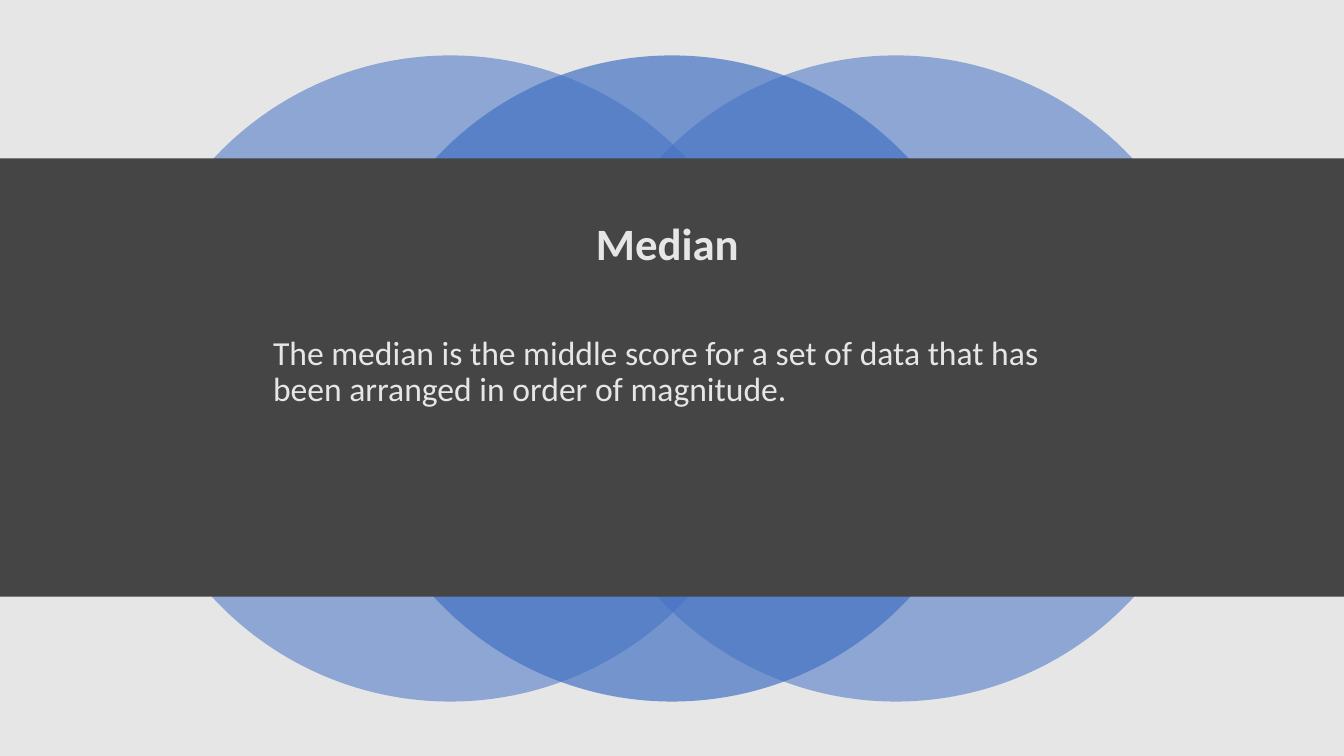
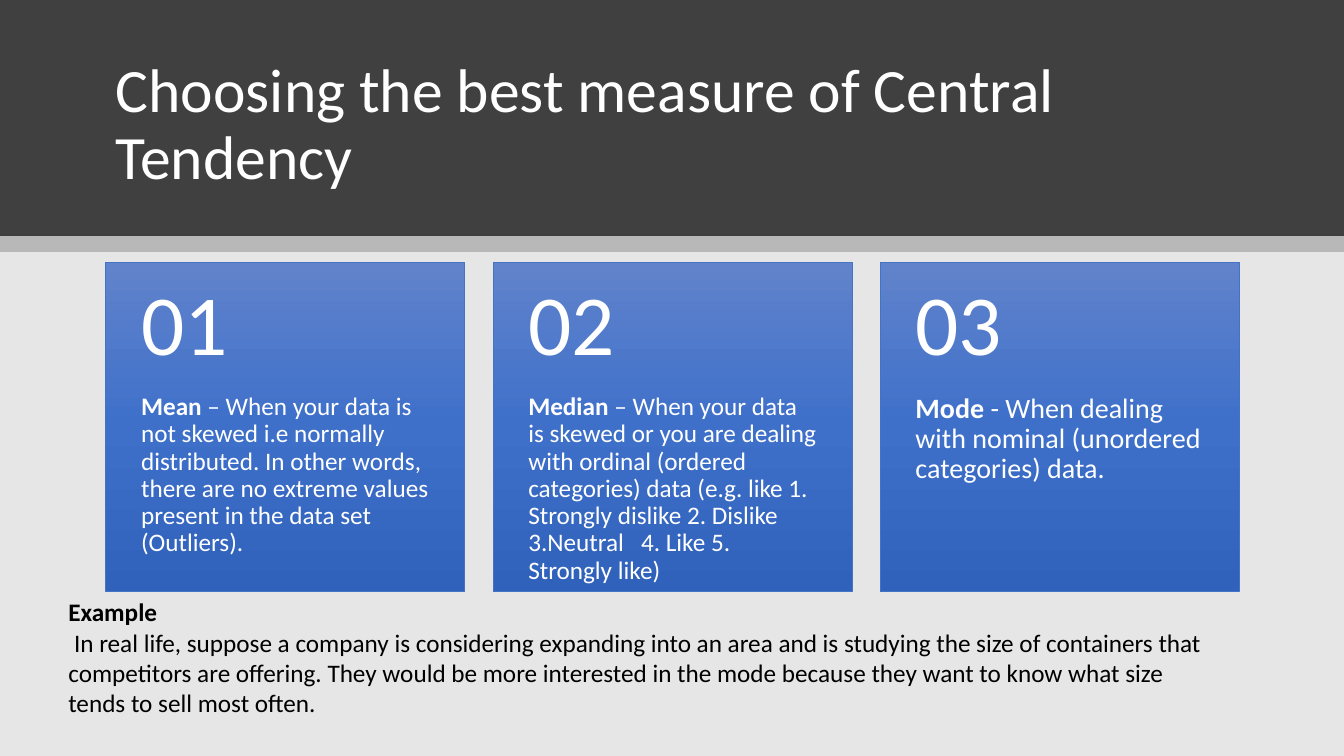
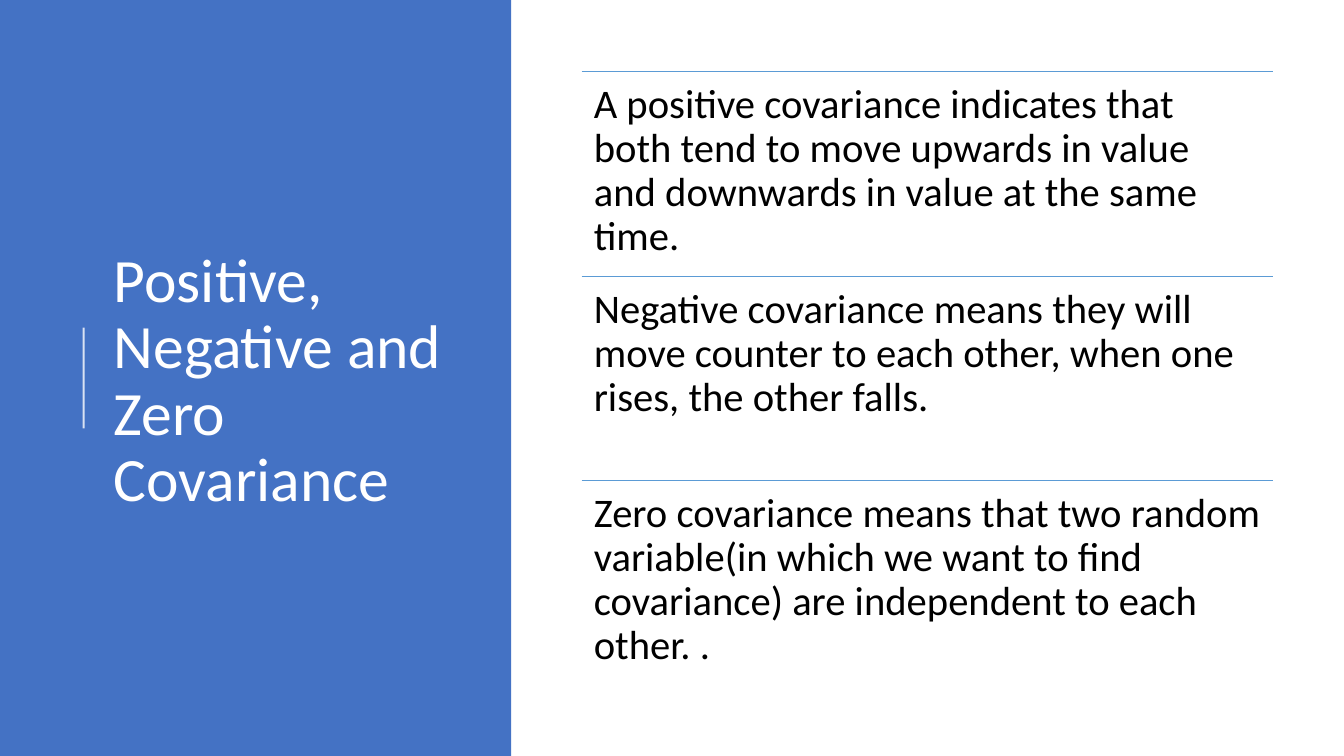
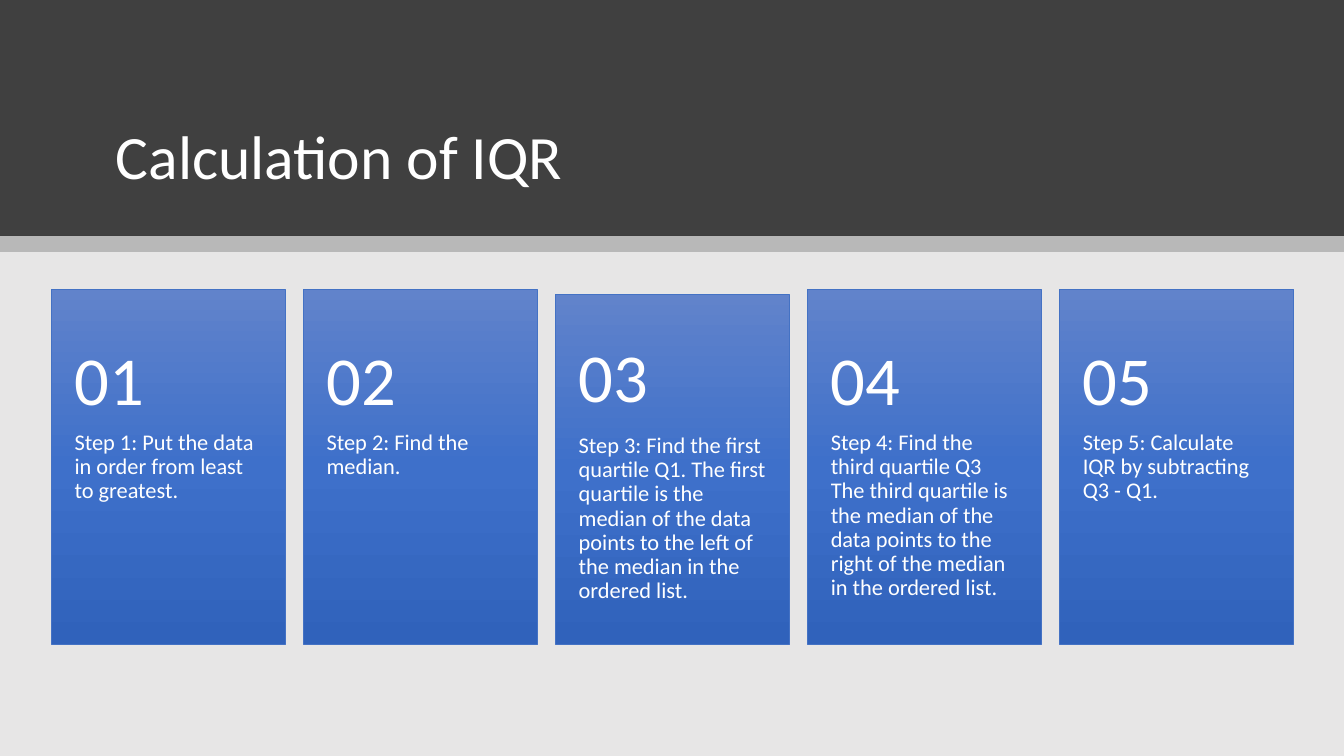
from copy import deepcopy
from lxml.etree import SubElement
from pptx import Presentation
from pptx.dml.color import RGBColor
from pptx.enum.shapes import MSO_CONNECTOR as CONN, MSO_SHAPE as SHAPE
from pptx.enum.text import MSO_ANCHOR as ANCHOR, PP_ALIGN as ALIGN
from pptx.oxml.ns import qn
from pptx.util import Inches, Pt

FONT = "Calibri"
WIDTH, HEIGHT = 13.33, 7.5
WHITE, BLACK, PALE = "FFFFFF", "000000", "E7E6E6"
BLUE, SKY, BAND, HEADER = "4472C4", "5B9BD5", "454545", "404040"
GRADIENT = [(0, "6183CB"), (0.5, "3E70CA"), (1, "3062BB")]

MEDIAN_TITLE = "Median "
MEDIAN_BODY = ("The median is the middle score for a set of data that has "
               "been arranged in order of magnitude. ")
CIRCLES = [(1.26, 55), (5.68, 55), (3.46, 70)]

CHOICE_TITLE = "Choosing the best measure of Central Tendency"
CHOICES = [
    (18, [("Mean", True),
          ("\u00a0– When your data is not skewed i.e normally distributed. In other "
           "words, there are no extreme values present in the data set (Outliers).", False)]),
    (18, [("Median", True),
          ("\u00a0– When your data is skewed or you are dealing with ordinal (ordered "
           "categories) data (e.g. like 1. Strongly dislike 2. Dislike 3.Neutral \u00a0 4. Like "
           "5. Strongly like)", False)]),
    (20, [("Mode", True),
          ("\u00a0- When dealing with nominal (unordered categories) data.", False)]),
]
EXAMPLE = [
    [("Example", True)],
    [("\u00a0In real life, suppose a company is considering expanding into an area and is "
      "studying the size of containers that competitors are offering. They would be more "
      "interested in the mode because they want to know what size tends to sell most often.",
      False)],
]

COVARIANCE_TITLE = "Positive, Negative and Zero Covariance"
COVARIANCES = [
    "A positive covariance indicates that both tend to move upwards in value and downwards "
    "in value at the same time.",
    "Negative covariance means they will move counter to each other, when one rises, the "
    "other falls. ",
    "Zero covariance means that two random variable(in which we want to find covariance) are "
    "independent to each other. . ",
]

IQR_TITLE = "Calculation of IQR"
STEPS = [
    ("Step 1: Put the data in order from least to greatest.", 2.87, 3.25),
    ("Step 2: Find the median.", 2.87, 3.25),
    ("Step 3: Find the first quartile Q1. The first quartile is the median of the data points "
     "to the left of the median in the ordered list.", 2.92, 3.22),
    ("Step 4: Find the third quartile Q3 The third quartile is the median of the data points "
     "to the right of the median in the ordered list.", 2.87, 3.25),
    ("Step 5: Calculate IQR by subtracting Q3 - Q1.", 2.87, 3.25),
]


def rgb(value):
    return RGBColor.from_string(value)


def set_alpha(sp, percent):
    color = next(sp._element.spPr.iter(qn("a:srgbClr")))
    SubElement(color, qn("a:alpha")).set("val", str(percent * 1000))


def add_block(slide, box, color, alpha=None, kind=SHAPE.RECTANGLE):
    sp = slide.shapes.add_shape(kind, *map(Inches, box))
    sp.shadow.inherit = False
    sp.fill.solid()
    sp.fill.fore_color.rgb = rgb(color)
    sp.line.fill.background()
    if alpha:
        set_alpha(sp, alpha)
    return sp


def add_line(slide, start, end, color, width, alpha=None):
    line = slide.shapes.add_connector(CONN.STRAIGHT, *map(Inches, start + end))
    line.line.color.rgb = rgb(color)
    line.line.width = Pt(width)
    if alpha:
        set_alpha(line, alpha)
    SubElement(line._element.spPr, qn("a:effectLst"))


def add_text(slide, box, paragraphs, size, color, bold=False, inset=(0.1, 0.05, 0.1, 0.05),
             anchor=ANCHOR.TOP, **layout):
    if isinstance(paragraphs, str):
        paragraphs = [[(paragraphs, bold)]]
    tf = slide.shapes.add_textbox(*map(Inches, box)).text_frame
    sides = ("margin_left", "margin_top", "margin_right", "margin_bottom")
    frame = dict(zip(sides, map(Inches, inset)), word_wrap=True, vertical_anchor=anchor)
    for name, value in frame.items():
        setattr(tf, name, value)
    for i, runs in enumerate(paragraphs):
        p = tf.paragraphs[0] if i == 0 else tf.add_paragraph()
        for name, value in {"line_spacing": 0.9, **layout}.items():
            setattr(p, name, value)
        for text, strong in runs:
            r = p.add_run()
            r.text = text
            for name, value in {"name": FONT, "size": Pt(size), "bold": strong}.items():
                setattr(r.font, name, value)
            r.font.color.rgb = rgb(color)


def add_card(slide, box, number, runs, size, number_size, number_box, margin):
    left, top, width, height = box
    sp = add_block(slide, box, BLUE)
    sp.fill.gradient()
    sp.fill.gradient_angle = 270
    stops = next(sp._element.spPr.iter(qn("a:gsLst")))
    stops.append(deepcopy(stops[0]))
    for stop, (position, color) in zip(sp.fill.gradient_stops, GRADIENT):
        stop.position = position
        stop.color.rgb = rgb(color)
    sp.line.color.rgb = rgb(BLUE)
    sp.line.width = Pt(0.5)
    add_text(slide, (left, top + 0.4 * height, width, 0.6 * height), [runs], size, WHITE,
             inset=(margin, 0, margin, 0.36))
    add_text(slide, number_box, f"{number:02}", number_size, WHITE,
             inset=(margin, 0.18, margin, 0.18), anchor=ANCHOR.MIDDLE)


def new_slide():
    return prs.slides.add_slide(prs.slide_layouts[6])


def new_header_slide(title):
    slide = new_slide()
    add_block(slide, (0, 0, WIDTH, HEIGHT), PALE)
    add_block(slide, (0, 0, WIDTH, 2.34), HEADER)
    add_text(slide, (1.05, 0.47, 11.24, 1.49), title, 44, WHITE, anchor=ANCHOR.BOTTOM)
    add_block(slide, (0, 2.34, WIDTH, 0.16), BLACK, 20)
    return slide


def build_median():
    slide = new_slide()
    add_block(slide, (0, 0, WIDTH, HEIGHT), PALE)
    for left, alpha in CIRCLES:
        add_block(slide, (left, 0.55, 6.41, 6.41), BLUE, alpha, SHAPE.OVAL)
    add_block(slide, (0, 1.57, WIDTH, 4.35), BAND)
    add_text(slide, (0.92, 1.93, 11.5, 1.02), MEDIAN_TITLE, 32, PALE, bold=True,
             anchor=ANCHOR.MIDDLE, alignment=ALIGN.CENTER)
    add_text(slide, (2.61, 3.29, 8.12, 2.31), MEDIAN_BODY, 24, PALE, space_before=Pt(10))


def build_choices():
    slide = new_header_slide(CHOICE_TITLE)
    top, width, height, pitch = 2.6, 3.56, 3.27, 3.84
    for i, (size, runs) in enumerate(CHOICES):
        left = 1.05 + i * pitch
        add_card(slide, (left, top, width, height), i + 1, runs, size, 61,
                 (left, top, width, 0.4 * height), 0.35)
    add_text(slide, (0.58, 5.87, 11.54, 1.31), EXAMPLE, 18, BLACK, line_spacing=1.0)


def build_covariance():
    slide = new_slide()
    add_block(slide, (0, 0, 5.07, HEIGHT), BLUE)
    add_text(slide, (1.03, 0.78, 3.69, 6.02), COVARIANCE_TITLE, 44, WHITE,
             anchor=ANCHOR.MIDDLE)
    add_line(slide, (0.83, 4.25), (0.83, 3.25), WHITE, 1.5, 80)
    left, width, height = 5.77, 6.86, 2.03
    for i, text in enumerate(COVARIANCES):
        top = 0.71 + i * height
        add_line(slide, (left, top), (left + width, top), SKY, 0.5)
        add_text(slide, (left, top, width, height), text, 29, BLACK, inset=(0.12,) * 4)


def build_iqr():
    slide = new_header_slide(IQR_TITLE)
    width, bottom, pitch = 2.32, 6.39, 2.5
    for i, (text, top, number_top) in enumerate(STEPS):
        left = 0.51 + i * pitch
        add_card(slide, (left, top, width, bottom - top), i + 1, [(text, False)], 16, 49,
                 (left, number_top, width, 1.11), 0.23)


prs = Presentation()
prs.slide_width, prs.slide_height = Inches(WIDTH), Inches(HEIGHT)
for build in (build_median, build_choices, build_covariance, build_iqr):
    build()
prs.save("out.pptx")
